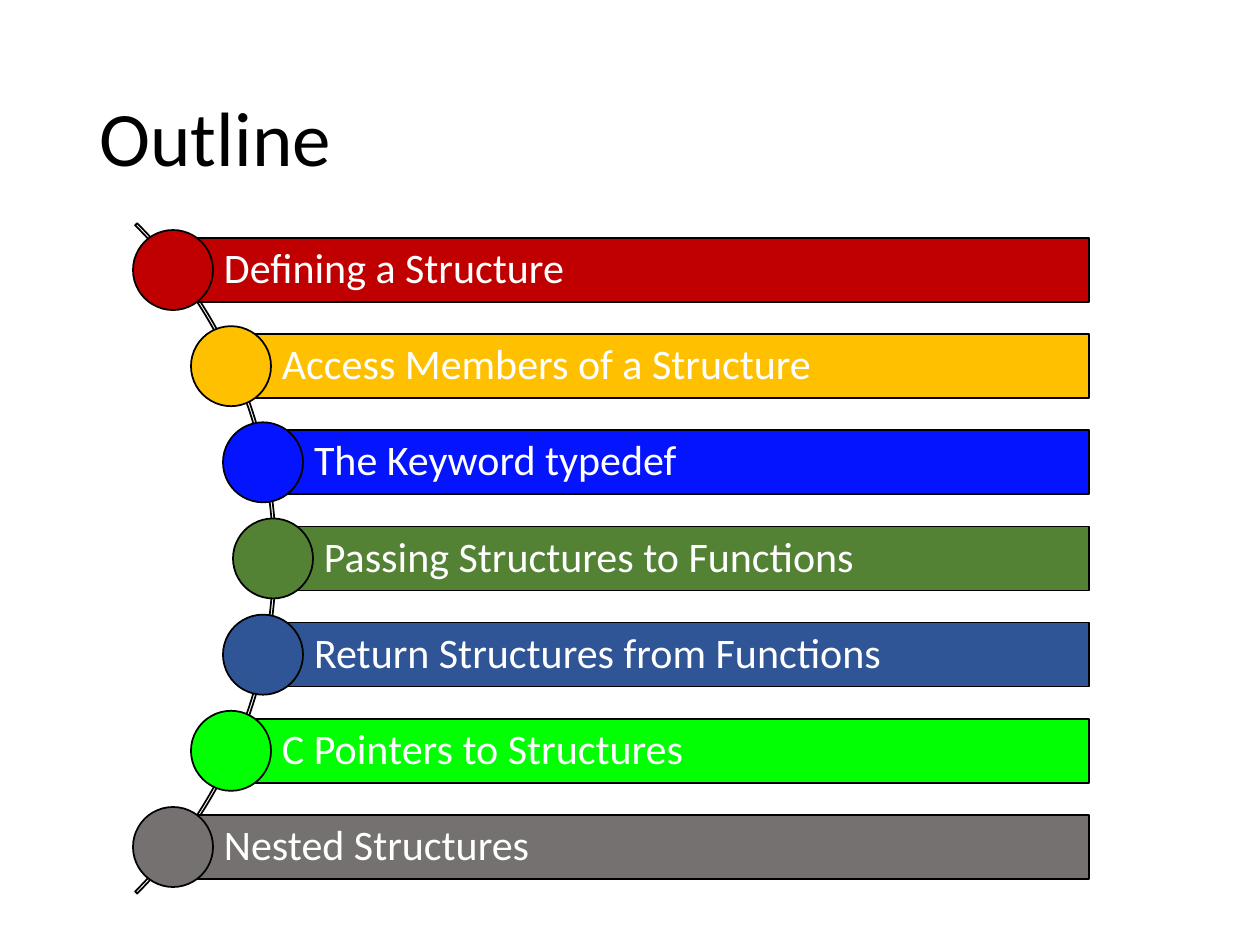
from pptx import Presentation
from pptx.dml.color import RGBColor
from pptx.enum.shapes import MSO_SHAPE
from pptx.enum.text import MSO_ANCHOR, PP_ALIGN
from pptx.util import Emu, Pt

TITLE = "Outline"
# topic, colour, x of the circle's centre in px
TOPICS = [
    ("Defining a Structure", "C00000", 173),
    ("Access Members of a Structure", "FFC000", 231),
    ("The Keyword typedef", "0414FF", 263),
    ("Passing Structures to Functions", "548235", 273),
    ("Return Structures from Functions", "2F5597", 263),
    ("C Pointers to Structures", "02FF04", 231),
    ("Nested Structures", "767171", 173),
]

FIRST_Y, LAST_Y = 270, 847
BAR_RIGHT, BAR_HEIGHT = 1089, 64
CIRCLE = 80
ARC_CENTRE_X, ARC_RADIUS = -198, 474


def px(length):
    return Emu(round(length * 914400 / 126))


def colour(hex_string):
    return RGBColor.from_string(hex_string)


def add_outlined(slide, preset, left, top, width, height, fill=None):
    shape = slide.shapes.add_shape(preset, px(left), px(top), px(width), px(height))
    shape.shadow.inherit = False
    if fill:
        shape.fill.solid()
        shape.fill.fore_color.rgb = colour(fill)
    else:
        shape.fill.background()
    shape.line.color.rgb = colour("000000")
    shape.line.width = Pt(1)
    return shape


def write(frame, text, size, hex_string):
    frame.word_wrap = True
    frame.vertical_anchor = MSO_ANCHOR.MIDDLE
    paragraph = frame.paragraphs[0]
    paragraph.alignment = PP_ALIGN.LEFT
    paragraph.line_spacing = 0.9
    run = paragraph.add_run()
    run.text = text
    run.font.size = Pt(size)
    run.font.name = "Calibri"
    run.font.color.rgb = colour(hex_string)


def add_topic(slide, topic, fill, centre_x, centre_y):
    bar = add_outlined(slide, MSO_SHAPE.RECTANGLE, centre_x, centre_y - BAR_HEIGHT / 2,
                       BAR_RIGHT - centre_x, BAR_HEIGHT, fill)
    frame = bar.text_frame
    frame.margin_left = px(51)
    frame.margin_top = frame.margin_right = frame.margin_bottom = px(9)
    write(frame, topic, 24, "FFFFFF")
    add_outlined(slide, MSO_SHAPE.OVAL, centre_x - CIRCLE / 2, centre_y - CIRCLE / 2,
                 CIRCLE, CIRCLE, fill)


def main():
    prs = Presentation()
    prs.slide_width, prs.slide_height = px(1260), px(945)
    slide = prs.slides.add_slide(prs.slide_layouts[5])

    title = slide.shapes.title
    title.left, title.top, title.width, title.height = px(87), px(50), px(1086), px(183)
    write(title.text_frame, TITLE, 44, "000000")

    arc = add_outlined(slide, MSO_SHAPE.BLOCK_ARC, ARC_CENTRE_X - ARC_RADIUS,
                       (FIRST_Y + LAST_Y) / 2 - ARC_RADIUS, 2 * ARC_RADIUS, 2 * ARC_RADIUS)
    # start angle, end angle, thickness
    for index, value in enumerate((189, 27, 0.003)):
        arc.adjustments[index] = value

    pitch = (LAST_Y - FIRST_Y) / (len(TOPICS) - 1)
    for row, (topic, fill, centre_x) in enumerate(TOPICS):
        add_topic(slide, topic, fill, centre_x, FIRST_Y + row * pitch)

    prs.save("out.pptx")


if __name__ == "__main__":
    main()
